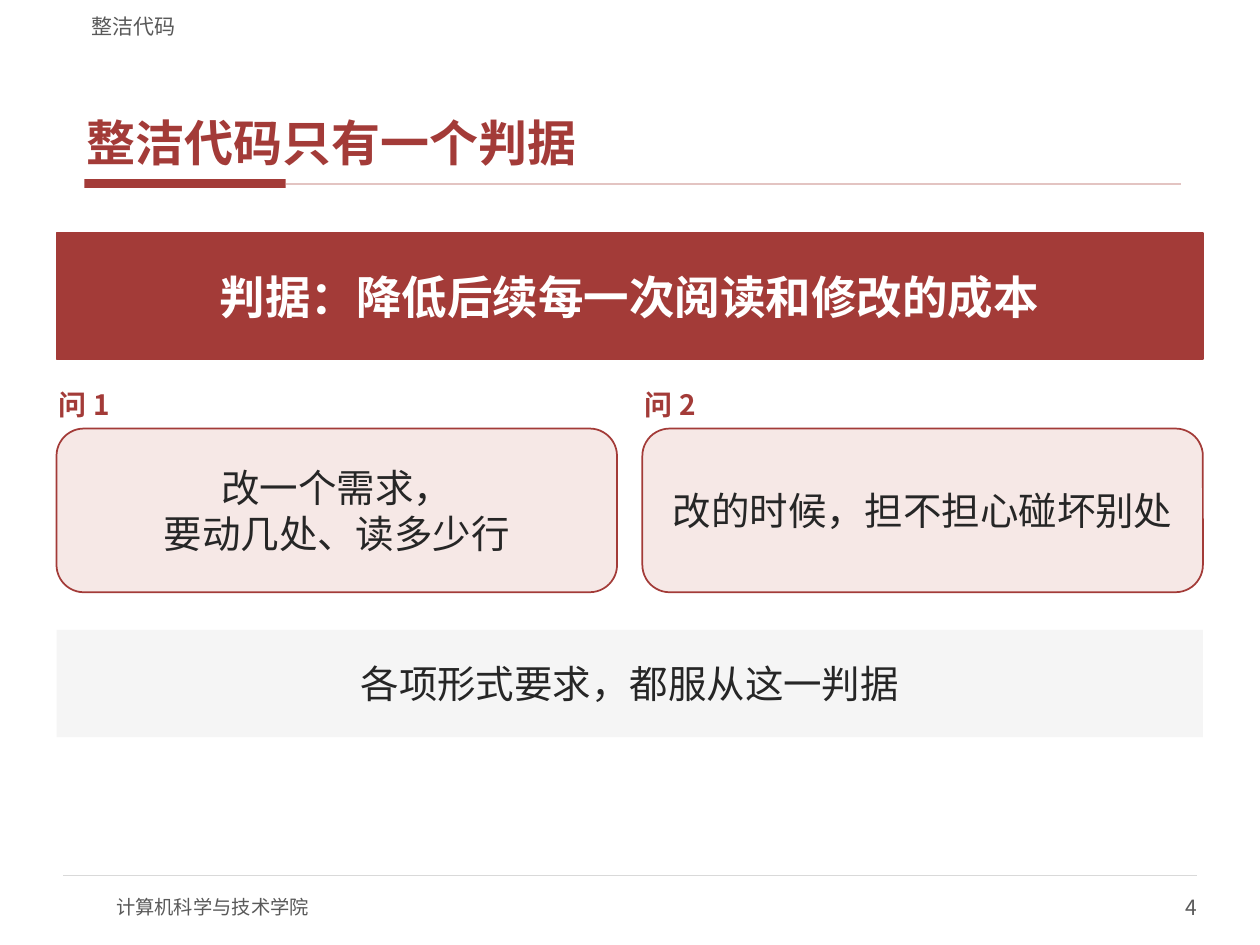
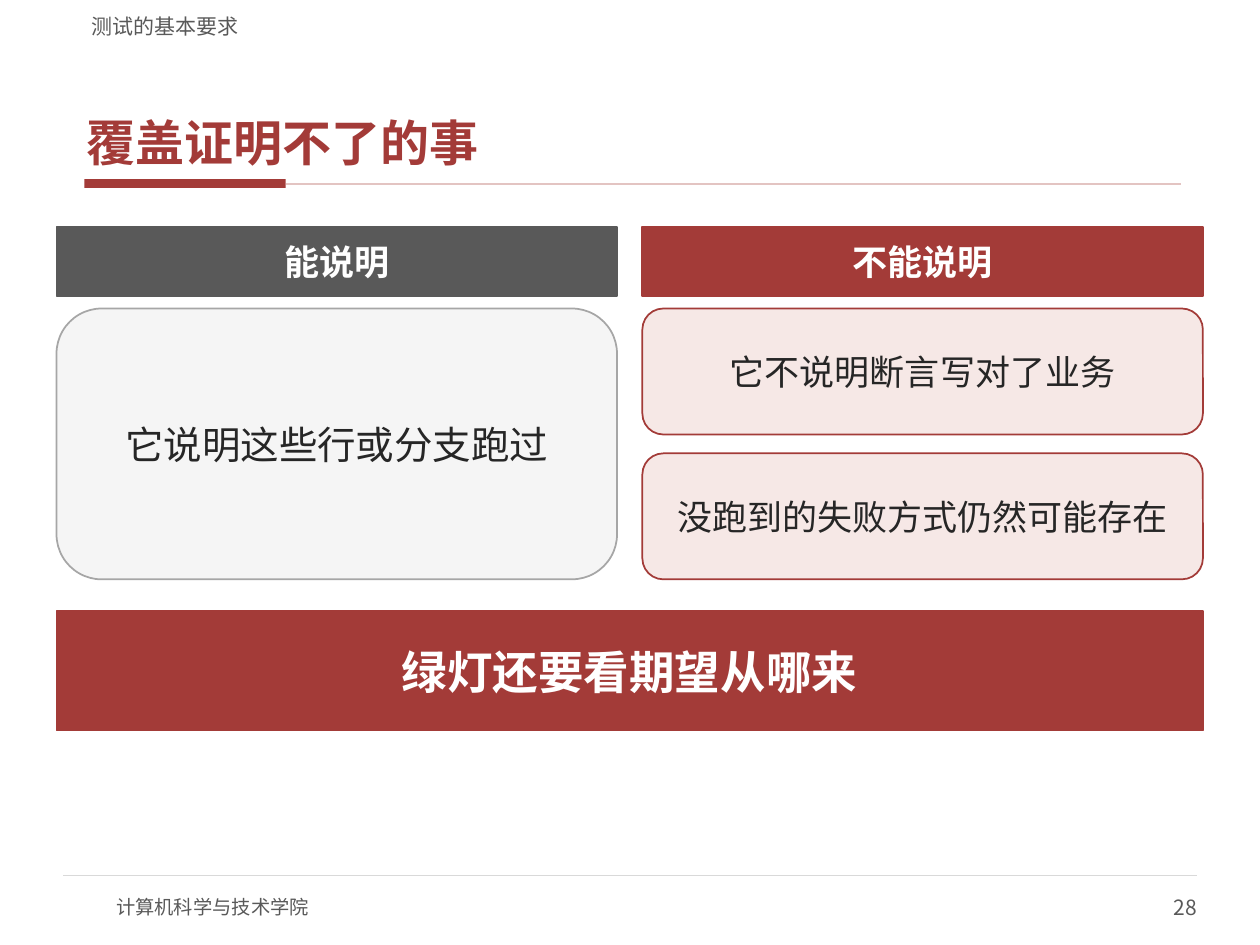
"""Build two slides on clean code and on what test coverage can show."""
from lxml import etree
from pptx import Presentation
from pptx.dml.color import RGBColor
from pptx.enum.shapes import MSO_CONNECTOR, MSO_SHAPE
from pptx.enum.text import MSO_ANCHOR, PP_ALIGN
from pptx.oxml.ns import qn
from pptx.util import Cm, Pt

RECTANGLE = MSO_SHAPE.RECTANGLE
ROUNDED = MSO_SHAPE.ROUNDED_RECTANGLE
STRAIGHT = MSO_CONNECTOR.STRAIGHT
MIDDLE, BOTTOM = MSO_ANCHOR.MIDDLE, MSO_ANCHOR.BOTTOM
LEFT, CENTER, RIGHT = PP_ALIGN.LEFT, PP_ALIGN.CENTER, PP_ALIGN.RIGHT

FONT = "Noto Sans CJK SC"
RED, PALE_RED, ROSE = "A33B38", "F6E8E6", "E3C4C2"
INK, GREY, MID_GREY = "262626", "595959", "A6A6A6"
RULE_GREY, PALE_GREY, WHITE = "D9D9D9", "F5F5F5", "FFFFFF"

MARGIN, FULL_WIDTH, GUTTER = 1.14, 23.11, 0.51
COLUMN_WIDTH = (FULL_WIDTH - GUTTER) / 2
COLUMNS = [MARGIN, MARGIN + COLUMN_WIDTH + GUTTER]
SCHOOL = "计算机科学与技术学院"


def color(value):
    """Turn a hex string into a colour."""
    return RGBColor.from_string(value)


def set_format(target, values):
    """Set every attribute named in a dict of format values."""
    for name, value in values.items():
        setattr(target, name, value)


def write(box, text, size, ink, bold=False, align=LEFT, anchor=MIDDLE,
          inset=(0, 0), after=0):
    """Write one paragraph into a box; a vertical tab breaks the line."""
    side, edge = map(Cm, inset)
    frame = box.text_frame
    set_format(frame, {"word_wrap": True, "vertical_anchor": anchor,
                       "margin_left": side, "margin_right": side,
                       "margin_top": edge, "margin_bottom": edge})
    para = frame.paragraphs[0]
    para.text = text
    set_format(para, {"alignment": align, "space_after": Pt(after)})
    for span in para.runs:
        set_format(span.font, {"name": FONT, "size": Pt(size), "bold": bold})
        span.font.color.rgb = color(ink)
        east_asian = etree.SubElement(span.font._element, qn("a:ea"))
        east_asian.set("typeface", FONT)


def add_text(page, place, text, size, ink, **style):
    """Add a text box at a place given in centimetres."""
    box = page.shapes.add_textbox(*map(Cm, place))
    write(box, text, size, ink, **style)


def add_block(page, kind, place, fill, outline=None):
    """Add a filled shape, with a thin outline if one is given."""
    block = page.shapes.add_shape(kind, *map(Cm, place))
    block.shadow.inherit = False
    block.fill.solid()
    block.fill.fore_color.rgb = color(fill)
    if outline:
        block.line.color.rgb = color(outline)
        block.line.width = Pt(1)
    else:
        block.line.fill.background()
    return block


def add_rule(page, start, end, top, ink, width):
    """Add a horizontal line without a shadow."""
    rule = page.shapes.add_connector(STRAIGHT, Cm(start), Cm(top), Cm(end), Cm(top))
    rule.line.color.rgb = color(ink)
    rule.line.width = Pt(width)
    etree.SubElement(rule._element.spPr, qn("a:effectLst"))


def add_band(page, place, text, size, fill=RED):
    """Add a solid band with bold white text."""
    band = add_block(page, RECTANGLE, place, fill, fill)
    write(band, text, size, WHITE, bold=True, align=CENTER, inset=(0.2, 0.1))


def add_card(page, place, text, size=22, fill=PALE_RED, outline=RED, kind=ROUNDED):
    """Add a pale card with centred dark text."""
    card = add_block(page, kind, place, fill, outline)
    write(card, text, size, INK, align=CENTER, inset=(0.2, 0.1))


def add_page(deck, section, title, number):
    """Add a blank page with the shared header, title and footer."""
    page = deck.slides.add_slide(deck.slide_layouts[6])
    add_block(page, RECTANGLE, (1.7, 3.61, 4.06, 0.18), RED)
    add_rule(page, 5.77, 23.8, 3.71, ROSE, 1)
    add_rule(page, 1.27, 24.13, 17.65, RULE_GREY, 0.75)
    add_text(page, (2.34, 17.78, 10.16, 1.02), SCHOOL, 11, GREY)
    add_text(page, (19.05, 17.78, 5.08, 1.02), str(number), 12, GREY, align=RIGHT)
    add_text(page, (1.6, 0.84, 22.23, 2.67), title, 28, RED, bold=True,
             anchor=BOTTOM, inset=(0.15, 0.05), after=2)
    add_text(page, (1.6, 0.1, 22.23, 0.69), section, 12, GREY,
             anchor=BOTTOM, inset=(0.25, 0))
    return page


def build_criterion(deck):
    """Build the page on the single criterion of clean code."""
    page = add_page(deck, "整洁代码", "整洁代码只有一个判据", 4)
    add_band(page, (MARGIN, 4.7, FULL_WIDTH, 2.54),
             "判据：降低后续每一次阅读和修改的成本", 26)
    questions = ["改一个需求，\v要动几处、读多少行", "改的时候，担不担心碰坏别处"]
    for index, (left, question) in enumerate(zip(COLUMNS, questions), 1):
        add_text(page, (left, 7.75, COLUMN_WIDTH, 0.81), f"问 {index}", 16, RED,
                 bold=True, inset=(0.05, 0.03))
        add_card(page, (left, 8.64, COLUMN_WIDTH, 3.3), question)
    add_card(page, (MARGIN, 12.7, FULL_WIDTH, 2.16), "各项形式要求，都服从这一判据",
             fill=PALE_GREY, outline=None, kind=RECTANGLE)


def build_coverage(deck):
    """Build the page on what coverage can and cannot show."""
    page = add_page(deck, "测试的基本要求", "覆盖证明不了的事", 28)
    headings = [("能说明", GREY), ("不能说明", RED)]
    for left, (heading, fill) in zip(COLUMNS, headings):
        add_band(page, (left, 4.57, COLUMN_WIDTH, 1.4), heading, 20, fill)
    shown, hidden = COLUMNS
    add_card(page, (shown, 6.22, COLUMN_WIDTH, 5.46), "它说明这些行或分支跑过",
             fill=PALE_GREY, outline=MID_GREY)
    limits = ["它不说明断言写对了业务", "没跑到的失败方式仍然可能存在"]
    for index, limit in enumerate(limits):
        add_card(page, (hidden, 6.22 + index * 2.92, COLUMN_WIDTH, 2.54), limit, 20)
    add_band(page, (MARGIN, 12.32, FULL_WIDTH, 2.41), "绿灯还要看期望从哪来", 26)


def main():
    """Build and save the deck."""
    deck = Presentation()
    set_format(deck, {"slide_width": Cm(25.4), "slide_height": Cm(19.05)})
    build_criterion(deck)
    build_coverage(deck)
    deck.save("out.pptx")


if __name__ == "__main__":
    main()
